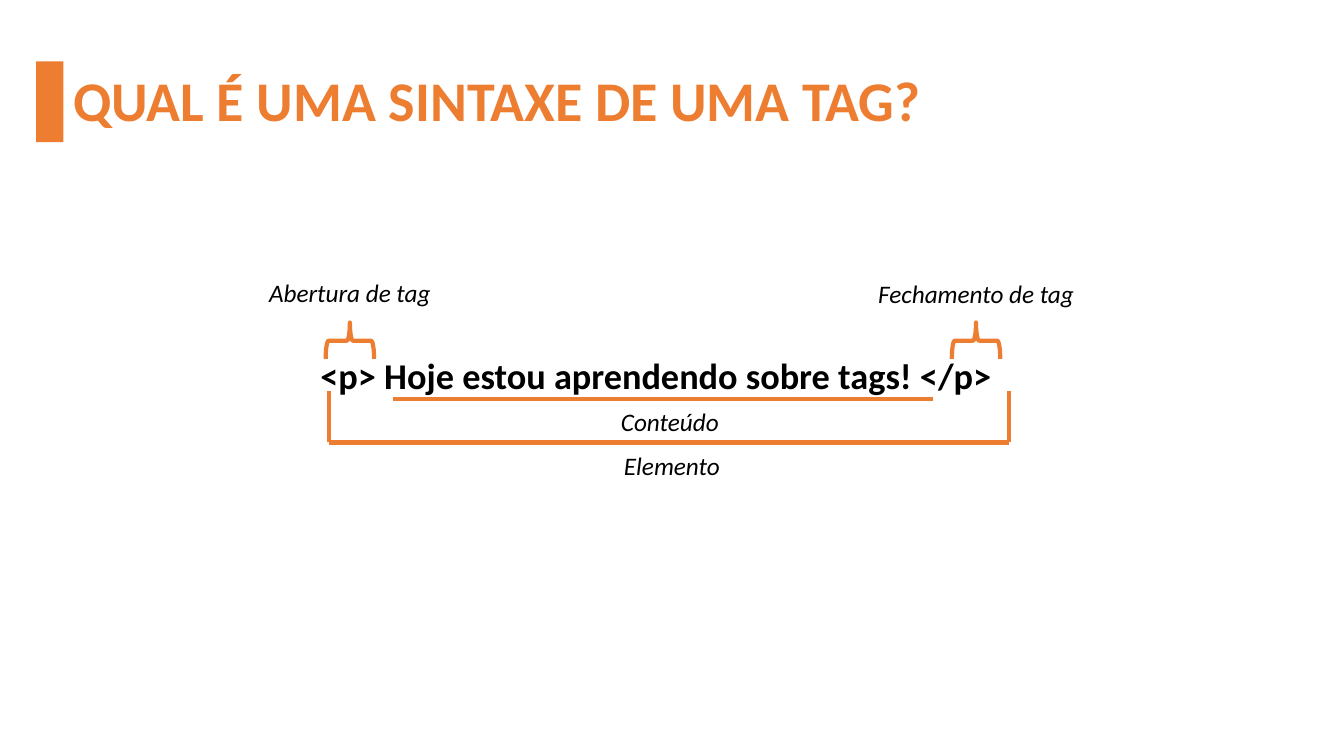
import pptx
import pptx.util
import pptx.dml.color
import pptx.enum.shapes
import pptx.enum.text
from dataclasses import dataclass
from lxml import etree
from pptx.util import Inches

Shape = pptx.enum.shapes.MSO_SHAPE
Align = pptx.enum.text.PP_ALIGN
Anchor = pptx.enum.text.MSO_ANCHOR


@dataclass(frozen=True)
class Theme:
    font: str = "Calibri"
    accent: str = "ED7D31"
    ink: str = "000000"
    title: float = 40
    code: float = 25.9
    label: float = 18
    line: float = 3


THEME = Theme()


def rgb(code):
    return pptx.dml.color.RGBColor.from_string(code)


def add_text(slide, text, box, size=THEME.label, color=THEME.ink, bold=False,
             italic=False, align=Align.LEFT, anchor=Anchor.TOP, spacing=1.0):
    frame = slide.shapes.add_textbox(*map(Inches, box)).text_frame
    frame.word_wrap = True
    frame.vertical_anchor = anchor
    para = frame.paragraphs[0]
    para.alignment = align
    para.line_spacing = spacing
    run = para.add_run()
    run.text = text
    font = run.font
    font.name, font.size = THEME.font, pptx.util.Pt(size)
    font.bold, font.italic = bold, italic
    font.color.rgb = rgb(color)


def set_line(line):
    line.color.rgb = rgb(THEME.accent)
    line.width = pptx.util.Pt(THEME.line)


def add_line(slide, *ends):
    kind = pptx.enum.shapes.MSO_CONNECTOR.STRAIGHT
    link = slide.shapes.add_connector(kind, *map(Inches, ends))
    set_line(link.line)
    props = link._element.spPr
    etree.SubElement(props, pptx.oxml.ns.qn("a:effectLst"))


def add_bar(slide, box):
    bar = slide.shapes.add_shape(Shape.RECTANGLE, *map(Inches, box))
    bar.shadow.inherit = False
    bar.fill.solid()
    bar.fill.fore_color.rgb = rgb(THEME.accent)
    bar.line.fill.background()


def add_brace(slide, left, top):
    box = (left, top, 0.36, 0.48)
    brace = slide.shapes.add_shape(Shape.LEFT_BRACE, *map(Inches, box))
    brace.shadow.inherit = False
    brace.rotation = 90
    brace.adjustments[0] = 0.083
    brace.adjustments[1] = 0.5
    brace.fill.background()
    set_line(brace.line)


def main():
    deck = pptx.Presentation()
    deck.slide_width, deck.slide_height = Inches(13.33), Inches(7.5)
    slide = deck.slides.add_slide(deck.slide_layouts[6])

    # Title with its accent bar
    add_text(slide, "QUAL É UMA SINTAXE DE UMA TAG?", (0.63, 0.3, 11.79, 1.45),
             size=THEME.title, color=THEME.accent, bold=True,
             anchor=Anchor.MIDDLE, spacing=0.9)
    add_bar(slide, (0.36, 0.61, 0.27, 0.8))

    # Sample element
    add_text(slide, "<p> Hoje estou aprendendo sobre tags! </p>",
             (3.08, 3.39, 7.17, 0.72), size=THEME.code, bold=True,
             anchor=Anchor.MIDDLE, spacing=0.9)

    # Content underline and element bracket
    add_line(slide, 3.9, 3.96, 9.25, 3.96)
    left, right, base, tip = 3.26, 10.01, 4.39, 3.88
    add_line(slide, left, base, right, base)
    for side in (left, right):
        add_line(slide, side, base, side, tip)
    add_text(slide, "Conteúdo", (6.06, 3.98, 1.21, 0.4), italic=True)
    add_text(slide, "Elemento", (6.09, 4.42, 1.16, 0.4), italic=True)

    # Opening and closing tags
    for text, box, edge in (
        ("Abertura de tag", (2.56, 2.7, 1.82, 0.4), 3.29),
        ("Fechamento de tag", (8.57, 2.71, 2.22, 0.4), 9.5),
    ):
        add_brace(slide, edge, 3.14)
        add_text(slide, text, box, italic=True, align=Align.CENTER)

    deck.save("out.pptx")


if __name__ == "__main__":
    main()
